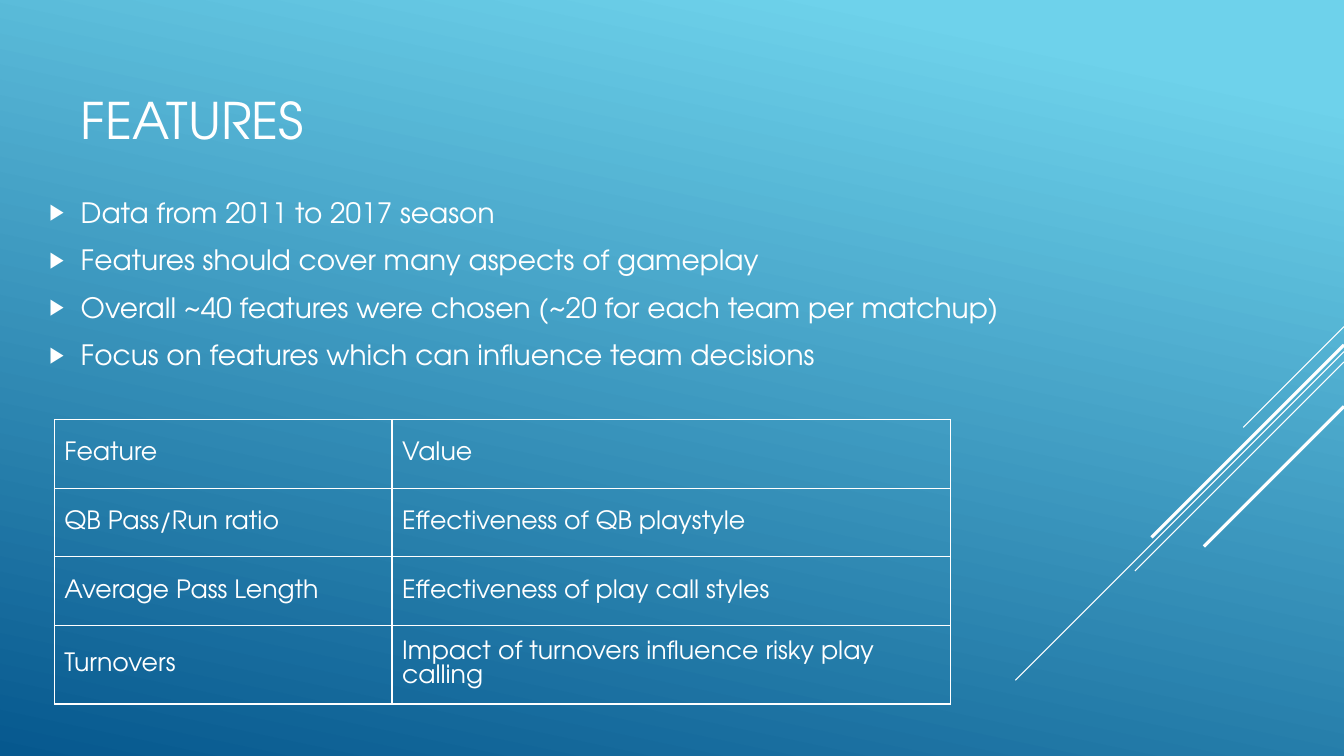
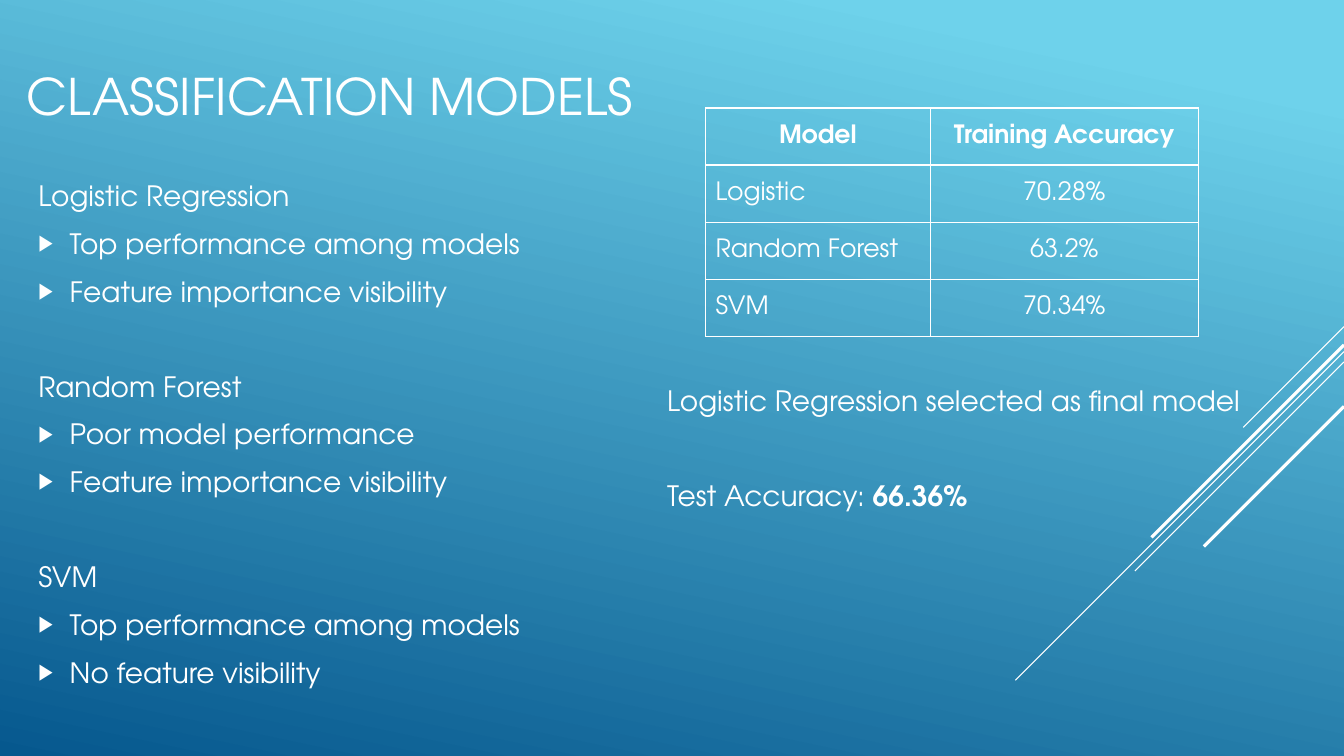
"""Build two slides on football play features and classification models."""
import pptx
import pptx.dml.color
import pptx.enum.shapes
import pptx.enum.text
import pptx.oxml
import pptx.oxml.ns
import pptx.util
from pptx.util import Cm, Pt

FONT = "TeX Gyre Adventor"
WHITE, SKY, OCEAN = "FFFFFF", "6ED2EB", "06588E"
SLIDE_WIDTH, SLIDE_HEIGHT = 33.87, 19.05
TITLE_SIZE = (23.7, 4.19)
TITLE_PT, BODY_PT, TABLE_PT = 36, 20, 18
PARAGRAPH_GAP, GROUP_GAP = 6, 40
LEFT, CENTER = pptx.enum.text.PP_ALIGN.LEFT, pptx.enum.text.PP_ALIGN.CENTER
MIDDLE = pptx.enum.text.MSO_ANCHOR.MIDDLE

RAYS = [
    {"top": 8.23, "run": 2.54, "weight": 0.75},
    {"top": 8.86, "run": 8.28, "weight": 0.75},
    {"top": 9.12, "run": 5.27, "weight": 0.75},
    {"top": 8.69, "run": 4.85, "weight": 2.25},
    {"top": 10.24, "run": 3.53, "weight": 2.25},
]

SLIDES = [
    {
        "title": "FEATURES",
        "title_at": (1.78, 0.91),
        "body_box": (0.99, 4.75, 25.3, 4.78),
        "body": [([], ["Data from 2011 to 2017 season",
                       "Features should cover many aspects of gameplay",
                       "Overall ~40 features were chosen (~20 for each team per matchup)",
                       "Focus on features which can influence team decisions"])],
        "table": {
            "at": (1.37, 10.57),
            "columns": [8.51, 14.07],
            "heights": [1.73, 1.73, 1.73, 1.98],
            "aligns": [LEFT, LEFT],
            "bold_header": False,
            "rows": [("Feature", "Value"),
                     ("QB Pass/Run ratio", "Effectiveness of QB playstyle"),
                     ("Average Pass Length", "Effectiveness of play call styles"),
                     ("Turnovers", "Impact of turnovers influence risky play calling")],
        },
    },
    {
        "title": "CLASSIFICATION MODELS",
        "title_at": (0.41, 0.3),
        "body_box": (0.71, 3.78, 16.2, 14.3),
        "body": [
            ([("Logistic Regression", False)],
             ["Top performance among models", "Feature importance visibility"]),
            ([("Random Forest", False)],
             ["Poor model performance", "Feature importance visibility"]),
            ([("SVM", False)],
             ["Top performance among models", "No feature visibility"]),
        ],
        "table": {
            "at": (17.78, 2.72),
            "columns": [5.66, 6.76],
            "heights": [1.44] * 4,
            "aligns": [LEFT, CENTER],
            "bold_header": True,
            "rows": [("Model", "Training Accuracy"), ("Logistic", "70.28%"),
                     ("Random Forest", "63.2%"), ("SVM", "70.34%")],
        },
        "conclusion_box": (16.56, 8.48, 16.18, 5.61),
        "conclusion": [
            ([("Logistic Regression selected as final model", False)], []),
            ([("Test Accuracy: ", False), ("66.36%", True)], []),
        ],
    },
]


def rgb(value):
    """Return the colour for a hex string."""
    return pptx.dml.color.RGBColor.from_string(value)


def xml(markup):
    """Parse one DrawingML element."""
    head, tail = markup.split(" ", 1)
    return pptx.oxml.parse_xml(f"{head} {pptx.oxml.ns.nsdecls('a')} {tail}")


def add_run(paragraph, text, size, bold=False):
    """Append a white run in the deck font."""
    run = paragraph.add_run()
    run.text = text
    run.font.name = FONT
    run.font.size = Pt(size)
    run.font.bold = bold
    run.font.color.rgb = rgb(WHITE)


def place(shape, left, top, width, height):
    """Move and size a shape, and centre its text vertically."""
    shape.left, shape.top, shape.width, shape.height = map(Cm, (left, top, width, height))
    frame = shape.text_frame
    frame.word_wrap = True
    frame.auto_size = pptx.enum.text.MSO_AUTO_SIZE.NONE
    frame.vertical_anchor = MIDDLE


def set_bullet(paragraph, bulleted):
    """Give a paragraph the triangle bullet, or none."""
    properties = paragraph._p.get_or_add_pPr()
    indent = Cm(0.79) if bulleted else 0
    properties.set("marL", str(indent))
    properties.set("indent", str(-indent))
    if bulleted:
        properties.append(xml(f'<a:buClr ><a:srgbClr val="{WHITE}"/></a:buClr>'))
        properties.append(xml('<a:buSzPct val="80000"/>'))
        properties.append(xml('<a:buChar char="▶"/>'))
    else:
        properties.append(xml("<a:buNone />"))


def fill_groups(frame, groups):
    """Write headings with their bullets, spacing the groups apart."""
    paragraph = None
    for heading, bullets in groups:
        if paragraph is not None:
            paragraph.space_after = Pt(GROUP_GAP)
        lines = [(heading, False)] if heading else []
        lines += [([(bullet, False)], True) for bullet in bullets]
        for runs, bulleted in lines:
            paragraph = frame.paragraphs[0] if paragraph is None else frame.add_paragraph()
            paragraph.alignment = LEFT
            paragraph.space_before = Pt(4)
            paragraph.space_after = Pt(PARAGRAPH_GAP)
            set_bullet(paragraph, bulleted)
            for text, bold in runs:
                add_run(paragraph, text, BODY_PT, bold)


def format_cell(cell):
    """Give a cell white borders and no fill."""
    properties = cell._tc.get_or_add_tcPr()
    for side in ("lnL", "lnR", "lnT", "lnB"):
        properties.append(xml(
            f'<a:{side} w="{Pt(1)}"><a:solidFill><a:srgbClr val="{WHITE}"/>'
            f'</a:solidFill></a:{side}>'))
    cell.fill.background()
    cell.vertical_anchor = MIDDLE


def add_grid(slide, grid):
    """Add an outlined table."""
    rows, columns, heights = grid["rows"], grid["columns"], grid["heights"]
    size = (sum(columns), sum(heights))
    table = slide.shapes.add_table(len(rows), len(columns),
                                   *map(Cm, grid["at"] + size)).table
    table.first_row = table.horz_banding = False
    for column, width in zip(table.columns, columns):
        column.width = Cm(width)
    for row, height in zip(table.rows, heights):
        row.height = Cm(height)
    for r, texts in enumerate(rows):
        strong = grid["bold_header"] and r == 0
        for c, text in enumerate(texts):
            cell = table.cell(r, c)
            format_cell(cell)
            paragraph = cell.text_frame.paragraphs[0]
            paragraph.alignment = CENTER if strong else grid["aligns"][c]
            add_run(paragraph, text, TABLE_PT, strong)


def style_master(master, slide):
    """Give the master its gradient and diagonal rays, drawn by way of a slide."""
    fill = master.background.fill
    fill.gradient()
    fill.gradient_angle = 258
    for stop, (position, colour) in zip(fill.gradient_stops, [(0.1, SKY), (1, OCEAN)]):
        stop.position = position
        stop.color.rgb = rgb(colour)
    for number, ray in enumerate(RAYS, 101):
        top, run = ray["top"], ray["run"]
        diagonal = slide.shapes.add_connector(
            pptx.enum.shapes.MSO_CONNECTOR.STRAIGHT,
            *map(Cm, (SLIDE_WIDTH, top, SLIDE_WIDTH - run, top + run)))
        diagonal.line.color.rgb = rgb(WHITE)
        diagonal.line.width = Pt(ray["weight"])
        diagonal.element.spPr.append(xml("<a:effectLst />"))
        diagonal.element.nvCxnSpPr.cNvPr.set("id", str(number))
        master.shapes.element.append(diagonal.element)


def build_slide(slide, content):
    """Fill one slide from its content."""
    title, body = slide.shapes.title, slide.placeholders[1]
    place(title, *content["title_at"], *TITLE_SIZE)
    heading = title.text_frame.paragraphs[0]
    heading.alignment = LEFT
    add_run(heading, content["title"], TITLE_PT)
    place(body, *content["body_box"])
    fill_groups(body.text_frame, content["body"])
    add_grid(slide, content["table"])
    if "conclusion" in content:
        box = content["conclusion_box"]
        conclusion = slide.shapes.add_textbox(*map(Cm, box))
        place(conclusion, *box)
        fill_groups(conclusion.text_frame, content["conclusion"])


def main():
    """Build and save the deck."""
    deck = pptx.Presentation()
    deck.slide_width, deck.slide_height = Cm(SLIDE_WIDTH), Cm(SLIDE_HEIGHT)
    slides = [deck.slides.add_slide(deck.slide_layouts[1]) for _ in SLIDES]
    style_master(deck.slide_master, slides[0])
    for slide, content in zip(slides, SLIDES):
        build_slide(slide, content)
    deck.save("out.pptx")


if __name__ == "__main__":
    main()
